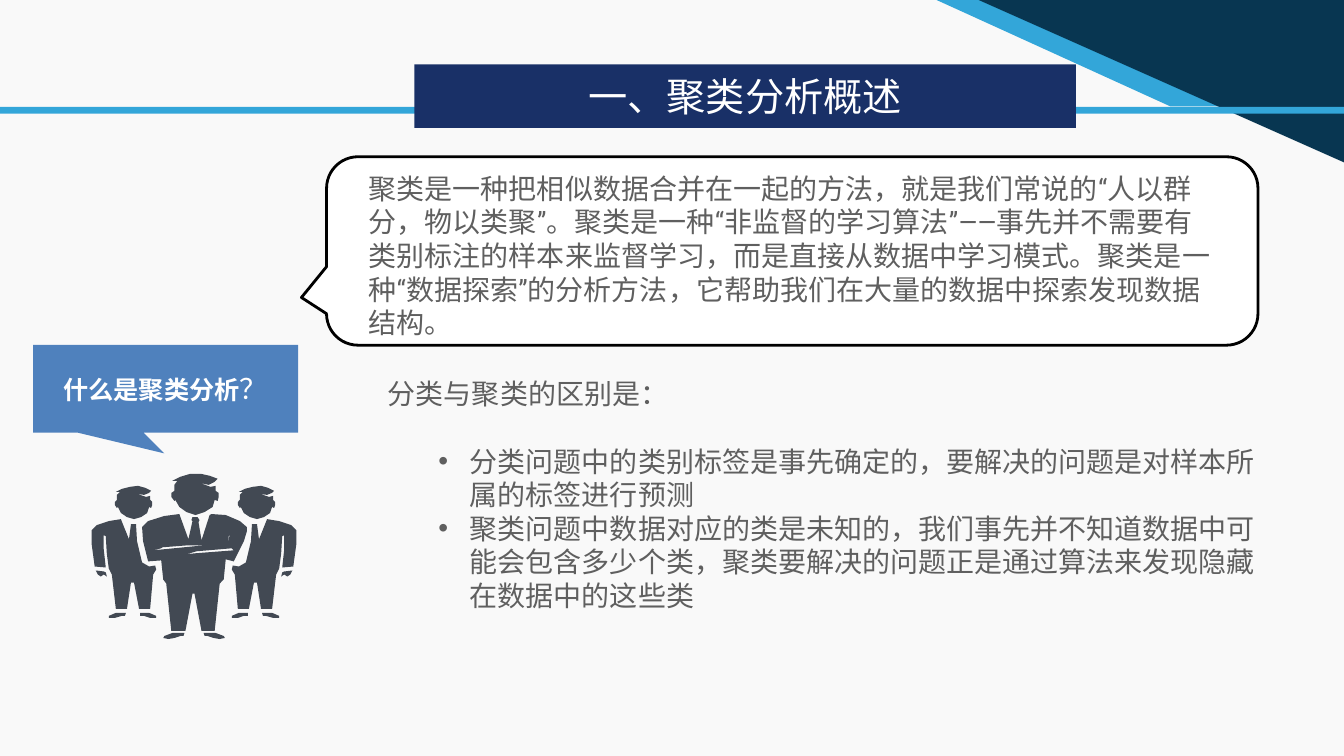
"""Build a slide that introduces cluster analysis."""
from lxml import etree
from pptx import Presentation
from pptx.dml.color import RGBColor
from pptx.enum.lang import MSO_LANGUAGE_ID
from pptx.enum.shapes import MSO_SHAPE
from pptx.enum.text import MSO_ANCHOR, PP_ALIGN
from pptx.oxml.ns import qn
from pptx.util import Pt

RECTANGLE = MSO_SHAPE.RECTANGLE
ROUND_CALLOUT = MSO_SHAPE.ROUNDED_RECTANGULAR_CALLOUT
SQUARE_CALLOUT = MSO_SHAPE.RECTANGULAR_CALLOUT
CENTER = PP_ALIGN.CENTER
LEFT = PP_ALIGN.LEFT
MIDDLE = MSO_ANCHOR.MIDDLE
TOP = MSO_ANCHOR.TOP
CHINESE = MSO_LANGUAGE_ID.SIMPLIFIED_CHINESE

COLORS = {
    "background": "F9F9F9", "sky": "33A6D9", "deep": "083651",
    "navy": "193067", "bubble": "4F81BD", "white": "FFFFFF",
    "black": "000000", "body": "5F5F5F", "people": "424953",
}
CJK_FONT = "Noto Sans CJK SC"
BODY_FONT = "Roboto Condensed"
BUBBLE_FONT = "Lato"

FIGURE_UNIT = Pt(0.72)
MIRROR_SUM = 385
HEAD = [
    (2, 18), (0, 20), (0, 23), (2, 26), (3, 25), (6, 31), (12, 35), (19, 37),
    (26, 35), (32, 31), (34, 25), (36, 26), (37, 23), (37, 20), (35, 18),
    (35, 14), (31, 15), (22, 12), (29, 13), (34, 11), (36, 9), (30, 6),
    (23, 4.5), (15, 5), (7, 7), (1, 10), (5, 10), (2.5, 13), (2, 16),
]
SIDE_PERSON = [
    [(103, 531), (105, 532), (106, 549), (108, 564), (111, 570), (115, 604),
     (126, 604), (130, 578), (133, 578), (138, 604), (149, 604), (152, 570),
     (155, 565), (154, 561), (148, 562), (141, 558), (136, 537), (135, 520),
     (130, 520), (128, 535), (120, 515), (108, 517), (96, 521), (91, 526),
     (91, 540), (94, 562), (105, 563), (103, 545)],
    [(95, 566), (97, 570), (100, 572), (103, 570), (106, 572), (105, 568),
     (103, 567)],
    [(115, 608), (108, 611), (108, 613), (114, 613), (121, 611), (124, 611),
     (125, 608)],
    [(139, 608), (139, 611), (143, 611), (149, 613), (155, 613), (155, 611),
     (148, 608)],
]
LEADER_SHOE = [
    (171, 628), (163, 631), (162, 633), (167, 634), (173, 633), (179, 631),
    (182, 631), (183, 628),
]
LEADER_BODY = [
    [(235, 551), (242, 537), (245, 527), (245, 523), (238, 517), (224, 511),
     (210, 510), (208, 511), (200, 536), (197, 518), (198, 516), (196, 513),
     (191, 513), (190, 516), (191, 517), (187, 535), (178, 510), (163, 512),
     (147, 517), (141, 523), (142, 537), (147, 557), (160, 556), (162, 575),
     (165, 579), (170, 626), (184, 626), (191, 589), (193, 589), (200, 626),
     (213, 626), (218, 579), (222, 575), (224, 555), (232, 557)],
    [(227, 532), (228, 530), (226, 541)],
    [(161, 543), (187, 541), (207, 541), (193, 542), (152, 546), (160, 544)],
    [(193, 549), (185, 550), (195, 547), (230, 544), (232, 546)],
]


def color(name):
    """Return the named colour."""
    return RGBColor.from_string(COLORS[name])


def paint(shape, fill, line=None):
    """Set a shape's fill and its outline, without a shadow."""
    shape.shadow.inherit = False
    shape.fill.solid()
    shape.fill.fore_color.rgb = color(fill)
    if line:
        shape.line.color.rgb = color(line)
        shape.line.width = Pt(2)
    else:
        shape.line.fill.background()


def add_block(slide, kind, box, fill, line=None, adjustments=()):
    """Add a preset shape."""
    shape = slide.shapes.add_shape(kind, *map(Pt, box))
    paint(shape, fill, line)
    for index, value in enumerate(adjustments):
        shape.adjustments[index] = value
    return shape


def add_outline(slide, contours, fill, unit):
    """Add one filled freeform made of closed contours."""
    builder = slide.shapes.build_freeform(*contours[0][0], scale=unit)
    builder.add_line_segments(contours[0][1:])
    for contour in contours[1:]:
        builder.move_to(*contour[0])
        builder.add_line_segments(contour[1:])
    paint(builder.convert_to_shape(), fill)


def add_run(paragraph, text, size, font_name, color_name, bold=False):
    """Add a run with one typeface for Latin and Chinese text."""
    run = paragraph.add_run()
    run.text = text
    font = run.font
    font.size, font.name, font.bold = Pt(size), font_name, bold
    font.color.rgb = color(color_name)
    font.language_id = CHINESE
    typeface = etree.Element(qn("a:ea"), typeface=font_name)
    font._element.find(qn("a:latin")).addnext(typeface)


def prepare_text(shape, alignment, anchor):
    """Set the text frame and return its first paragraph."""
    frame = shape.text_frame
    frame.word_wrap = True
    frame.vertical_anchor = anchor
    paragraph = frame.paragraphs[0]
    paragraph.alignment = alignment
    return paragraph


def add_body_box(slide, box, text):
    """Add a text box with one body paragraph."""
    shape = slide.shapes.add_textbox(*map(Pt, box))
    add_run(prepare_text(shape, LEFT, TOP), text, 20, BODY_FONT, "body")
    return shape


def add_bullet(shape, text, space_before=0):
    """Add a bulleted paragraph with a hanging indent."""
    paragraph = shape.text_frame.add_paragraph()
    properties = paragraph._p.get_or_add_pPr()
    properties.set("marL", str(Pt(58.5)))
    properties.set("indent", str(Pt(-22.5)))
    etree.SubElement(properties, qn("a:buFont"), typeface="Arial")
    etree.SubElement(properties, qn("a:buChar"), char="•")
    paragraph.level = 1
    paragraph.space_before = Pt(space_before)
    add_run(paragraph, text, 20, BODY_FONT, "body")


def format_title(slide, box, text):
    """Turn the title placeholder into a rounded banner in front."""
    title = slide.shapes.title
    title.left, title.top, title.width, title.height = map(Pt, box)
    properties = title._element.spPr
    geometry = etree.SubElement(properties, qn("a:prstGeom"), prst="roundRect")
    etree.SubElement(geometry, qn("a:avLst"))
    paint(title, "navy")
    add_run(prepare_text(title, CENTER, MIDDLE), text, 28, CJK_FONT, "white")
    slide.shapes._spTree.append(title._element)


def mirror(contour):
    """Reflect a contour across the middle of the group of people."""
    return [(MIRROR_SUM - x, y) for x, y in contour]


def add_people(slide):
    """Draw a leader between two mirrored companions."""
    for left, top, scale in ((114, 478, 1), (236, 478, 1), (170, 464, 1.27)):
        head = [(left + x * scale, top + y * scale) for x, y in HEAD]
        add_outline(slide, [head], "people", FIGURE_UNIT)
    for contour in SIDE_PERSON + [LEADER_SHOE]:
        for part in (contour, mirror(contour)):
            add_outline(slide, [part], "people", FIGURE_UNIT)
    add_outline(slide, LEADER_BODY, "people", FIGURE_UNIT)


def main():
    """Build and save the slide."""
    presentation = Presentation()
    presentation.slide_width, presentation.slide_height = Pt(960), Pt(540)
    slide = presentation.slides.add_slide(presentation.slide_layouts[5])
    slide.background.fill.solid()
    slide.background.fill.fore_color.rgb = color("background")

    add_outline(slide, [[(669, 0), (702, 0), (873, 76), (836, 76)]], "sky", Pt(1))
    add_outline(slide, [[(699, 0), (960, 0), (960, 116)]], "deep", Pt(1))
    add_block(slide, RECTANGLE, (0, 76.3, 960, 5), "sky")
    add_block(slide, ROUND_CALLOUT, (233.3, 112, 665.3, 134.6), "white", "black",
              (-0.527, 0.247, 0.167))
    format_title(slide, (296, 46, 472.5, 45.4), "一、聚类分析概述")
    add_body_box(slide, (256.3, 118.8, 619.2, 128.2),
                 "聚类是一种把相似数据合并在一起的方法，就是我们常说的“人以群分，物以类聚”。"
                 "聚类是一种“非监督的学习算法”——事先并不需要有类别标注的样本来监督学习，"
                 "而是直接从数据中学习模式。聚类是一种“数据探索”的分析方法，"
                 "它帮助我们在大量的数据中探索发现数据结构。")

    bubble = add_block(slide, SQUARE_CALLOUT, (23.6, 246.4, 189.4, 62.6), "bubble",
                       adjustments=(-0.005, 0.738))
    question = prepare_text(bubble, CENTER, MIDDLE)
    add_run(question, "什么是聚类分析", 18, BUBBLE_FONT, "white", bold=True)
    add_run(question, "？", 20, CJK_FONT, "white")
    add_people(slide)

    comparison = add_body_box(slide, (270, 265.7, 640, 177), "分类与聚类的区别是：")
    add_bullet(comparison, "分类问题中的类别标签是事先确定的，要解决的问题是对样本所属的标签进行预测",
               space_before=24)
    add_bullet(comparison, "聚类问题中数据对应的类是未知的，我们事先并不知道数据中可能会包含多少个类，"
               "聚类要解决的问题正是通过算法来发现隐藏在数据中的这些类")
    presentation.save("out.pptx")


if __name__ == "__main__":
    main()
